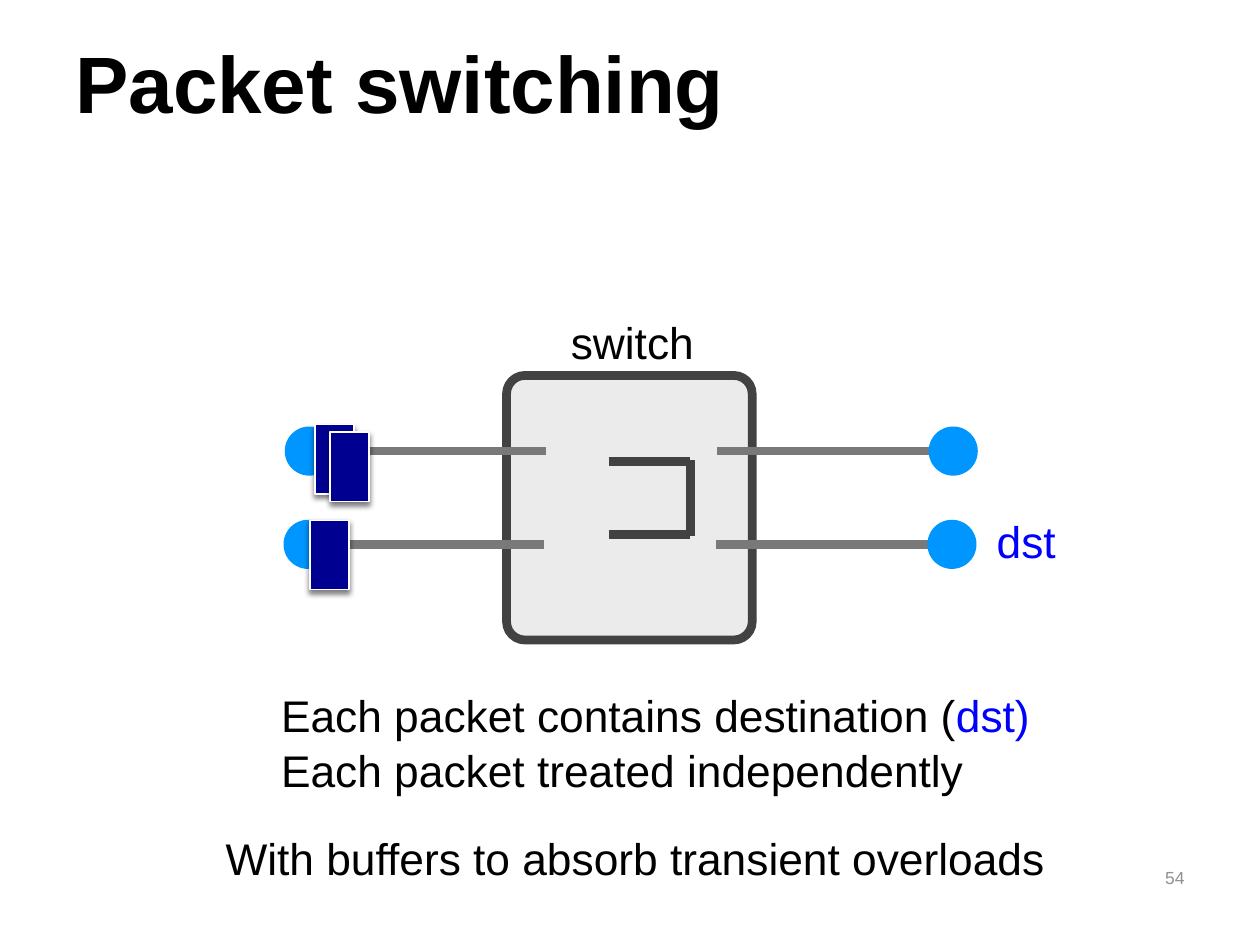
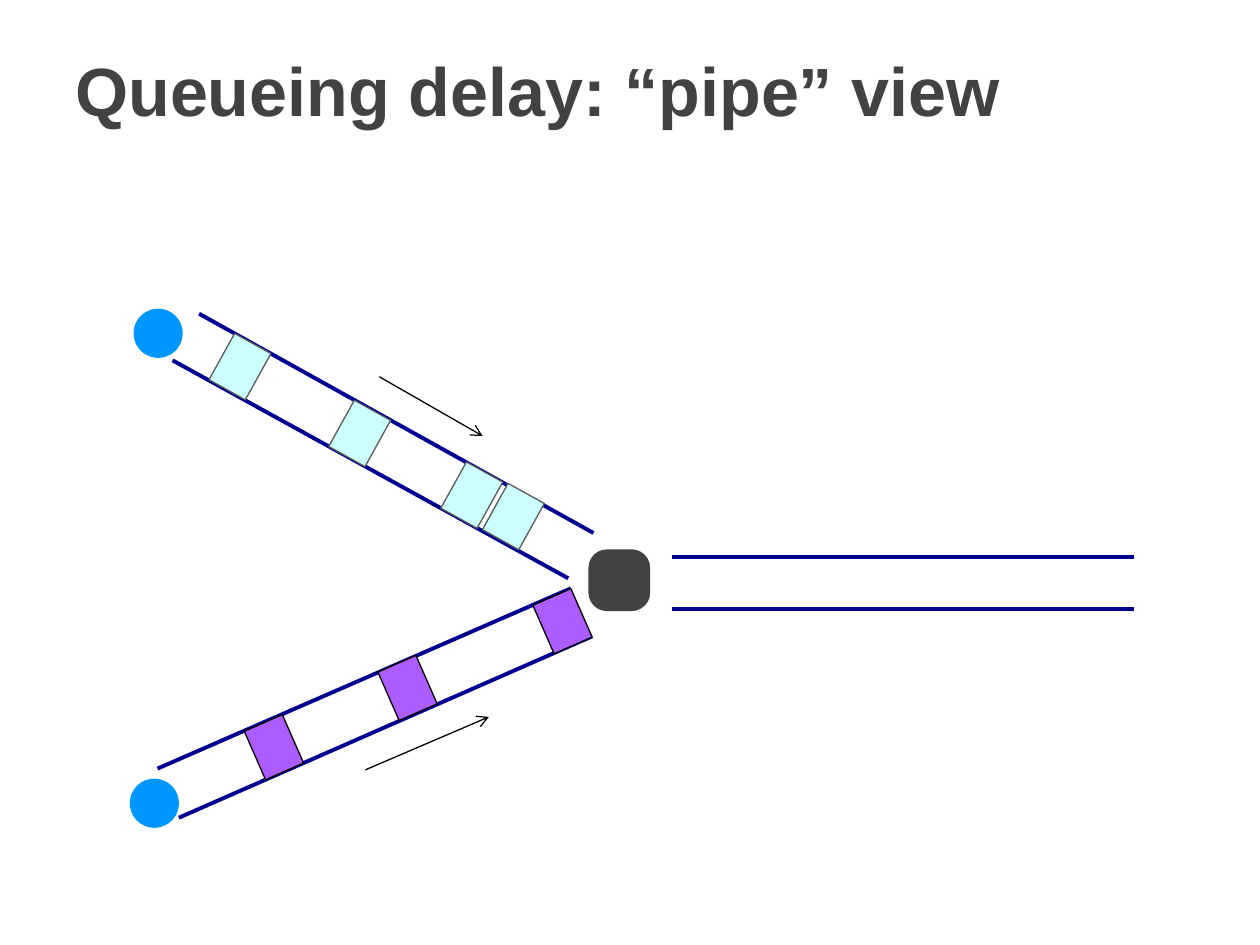
from pptx import Presentation
from pptx.dml.color import RGBColor
from pptx.enum.shapes import MSO_CONNECTOR, MSO_SHAPE
from pptx.enum.text import MSO_ANCHOR, PP_ALIGN
from pptx.oxml import parse_xml
from pptx.oxml.ns import nsdecls
from pptx.oxml.xmlchemy import OxmlElement
from pptx.util import Inches, Pt

FONT = "Arial"
BLACK = "000000"
CHARCOAL = "424242"
CABLE = "797979"
NAVY = "000090"
NODE = "0096FF"
DESTINATION = "0000FF"
LABEL_SIZE = 25.3
NODE_SIZE = 0.39
PACKET_WIDTH, PACKET_HEIGHT = 0.33, 0.42


def colour(value):
    """Turn a hex string into a colour."""
    return RGBColor.from_string(value)


def add_shape(page, kind, left, top, width, height, fill, line=None, weight=1.0):
    """Add a filled preset shape, outlined if a line colour is given."""
    shape = page.shapes.add_shape(
        kind, Inches(left), Inches(top), Inches(width), Inches(height))
    shape.shadow.inherit = False
    shape.fill.solid()
    shape.fill.fore_color.rgb = colour(fill)
    if line:
        shape.line.color.rgb = colour(line)
        shape.line.width = Pt(weight)
    else:
        shape.line.fill.background()
    return shape


def add_line(page, start, end, line, weight, arrow=False):
    """Add a straight line between two points, with an optional arrowhead."""
    connector = page.shapes.add_connector(
        MSO_CONNECTOR.STRAIGHT, *(Inches(value) for value in (*start, *end)))
    connector.line.color.rgb = colour(line)
    connector.line.width = Pt(weight)
    if arrow:
        head = OxmlElement("a:tailEnd")
        head.set("type", "arrow")
        connector.line._get_or_add_ln().append(head)
    connector._element.spPr.append(OxmlElement("a:effectLst"))


def add_text(page, left, top, width, height, paras, size, bold=False,
             anchor=MSO_ANCHOR.TOP, align=PP_ALIGN.LEFT, inset=None, spacing=None):
    """Add a text box; each paragraph is a list of (words, colour) spans."""
    box = page.shapes.add_textbox(
        Inches(left), Inches(top), Inches(width), Inches(height))
    frame = box.text_frame
    frame.word_wrap = inset is None
    frame.vertical_anchor = anchor
    if inset is not None:
        frame.margin_left = frame.margin_right = Inches(inset)
        frame.margin_top = frame.margin_bottom = Inches(inset)
    for index, spans in enumerate(paras):
        para = frame.paragraphs[0] if index == 0 else frame.add_paragraph()
        para.alignment = align
        para.line_spacing = spacing
        for words, ink in spans:
            span = para.add_run()
            span.text = words
            span.font.name = FONT
            span.font.size = Pt(size)
            span.font.bold = bold
            span.font.color.rgb = colour(ink)


def add_title(page, words, size, ink):
    """Add the slide title."""
    add_text(page, 0.5, 0.13, 9.5, 0.95, [[(words, ink)]], size,
             bold=True, anchor=MSO_ANCHOR.BOTTOM)


def add_label(page, left, top, width, height, *paras):
    """Add a diagram label that does not wrap."""
    add_text(page, left, top, width, height, paras, LABEL_SIZE,
             anchor=MSO_ANCHOR.MIDDLE, inset=0.04, spacing=1.04)


def add_node(page, left, top):
    """Add a round end host."""
    add_shape(page, MSO_SHAPE.OVAL, left, top, NODE_SIZE, NODE_SIZE, NODE)


def add_waiting_packet(page, left, top):
    """Add a navy packet with a soft shadow beneath."""
    packet = add_shape(page, MSO_SHAPE.RECTANGLE, left, top, 0.31, 0.55, NAVY, "FFFFFF")
    properties = packet._element.spPr
    properties.remove(properties.find("{*}effectLst"))
    properties.append(parse_xml(
        f'<a:effectLst {nsdecls("a")}><a:outerShdw blurRad="{Pt(3)}" dist="{Pt(2)}" '
        'dir="5400000" rotWithShape="0"><a:srgbClr val="000000">'
        '<a:alpha val="50000"/></a:srgbClr></a:outerShdw></a:effectLst>'))


def add_pipe_packets(page, places, angle, fill, line):
    """Add packets tilted along a pipe."""
    for left, top in places:
        packet = add_shape(page, MSO_SHAPE.RECTANGLE, left, top,
                           PACKET_WIDTH, PACKET_HEIGHT, fill, line, 0.75)
        packet.rotation = angle


def build_switching(page):
    """Draw the switch with its hosts, buffer and packets."""
    switch = add_shape(page, MSO_SHAPE.ROUNDED_RECTANGLE,
                       4.02, 2.98, 1.95, 2.1, "EBEBEB", CHARCOAL, 5)
    switch.adjustments[0] = 0.075
    add_title(page, "Packet switching", 45.7, BLACK)
    add_text(page, 7.17, 6.83, 2.33, 0.5, [[("54", "919191")]], 10,
             align=PP_ALIGN.RIGHT)
    for shift, height in ((0, 3.58), (-0.01, 4.32)):
        for cable_left, node_left in ((2.5, 2.26), (5.69, 7.37)):
            start = cable_left + shift
            add_line(page, (start, height), (start + 1.83, height), CABLE, 5)
            add_node(page, node_left + shift, height - NODE_SIZE / 2)
    add_waiting_packet(page, 2.5, 3.37)
    add_line(page, (5.48, 4.25), (5.48, 3.65), CHARCOAL, 5)
    for height in (3.66, 4.24):
        add_line(page, (4.83, height), (5.48, height), CHARCOAL, 5)
    add_waiting_packet(page, 2.62, 3.43)
    add_waiting_packet(page, 2.46, 4.13)
    add_label(page, 1.75, 6.55, 6.64, 0.5,
              [("With buffers to absorb transient overloads", BLACK)])
    add_label(page, 4.49, 2.45, 1.06, 0.51, [("switch", BLACK)])
    add_label(page, 7.87, 4.03, 0.55, 0.51, [("dst", DESTINATION)])
    add_label(page, 2.19, 5.42, 6.08, 0.93,
              [("Each packet contains destination (", BLACK), ("dst)", DESTINATION)],
              [("Each packet treated independently", BLACK)])


def build_pipes(page):
    """Draw two pipes of packets that meet at one outgoing pipe."""
    walls = (
        ((1.58, 2.49), (4.71, 4.23)),
        ((1.37, 2.86), (4.51, 4.59)),
        ((1.25, 6.1), (4.53, 4.67)),
        ((1.42, 6.49), (4.7, 5.05)),
        ((5.33, 4.42), (9, 4.42)),
        ((5.33, 4.83), (9, 4.83)),
    )
    for start, end in walls:
        add_line(page, start, end, NAVY, 2.25)
    add_pipe_packets(page, ((3.91, 3.89), (3.58, 3.72), (2.69, 3.23), (1.74, 2.7)),
                     29, "CCFFFF", "595959")
    add_pipe_packets(page, ((2.01, 5.72), (4.3, 4.72), (3.07, 5.25)),
                     336.3, "AD5CFF", BLACK)
    add_title(page, "Queueing delay: “pipe” view", 39, CHARCOAL)
    add_node(page, 1.06, 2.45)
    add_node(page, 1.03, 6.18)
    router = add_shape(page, MSO_SHAPE.ROUNDED_RECTANGLE,
                       4.67, 4.36, 0.49, 0.49, CHARCOAL)
    router.adjustments[0] = 0.3
    add_line(page, (3.01, 2.99), (3.83, 3.46), BLACK, 0.75, arrow=True)
    add_line(page, (2.9, 6.11), (3.88, 5.69), BLACK, 0.75, arrow=True)


def main():
    """Build the deck and save it."""
    deck = Presentation()
    deck.slide_width = Inches(10)
    deck.slide_height = Inches(7.5)
    for build in (build_switching, build_pipes):
        build(deck.slides.add_slide(deck.slide_layouts[6]))
    deck.save("out.pptx")


if __name__ == "__main__":
    main()
